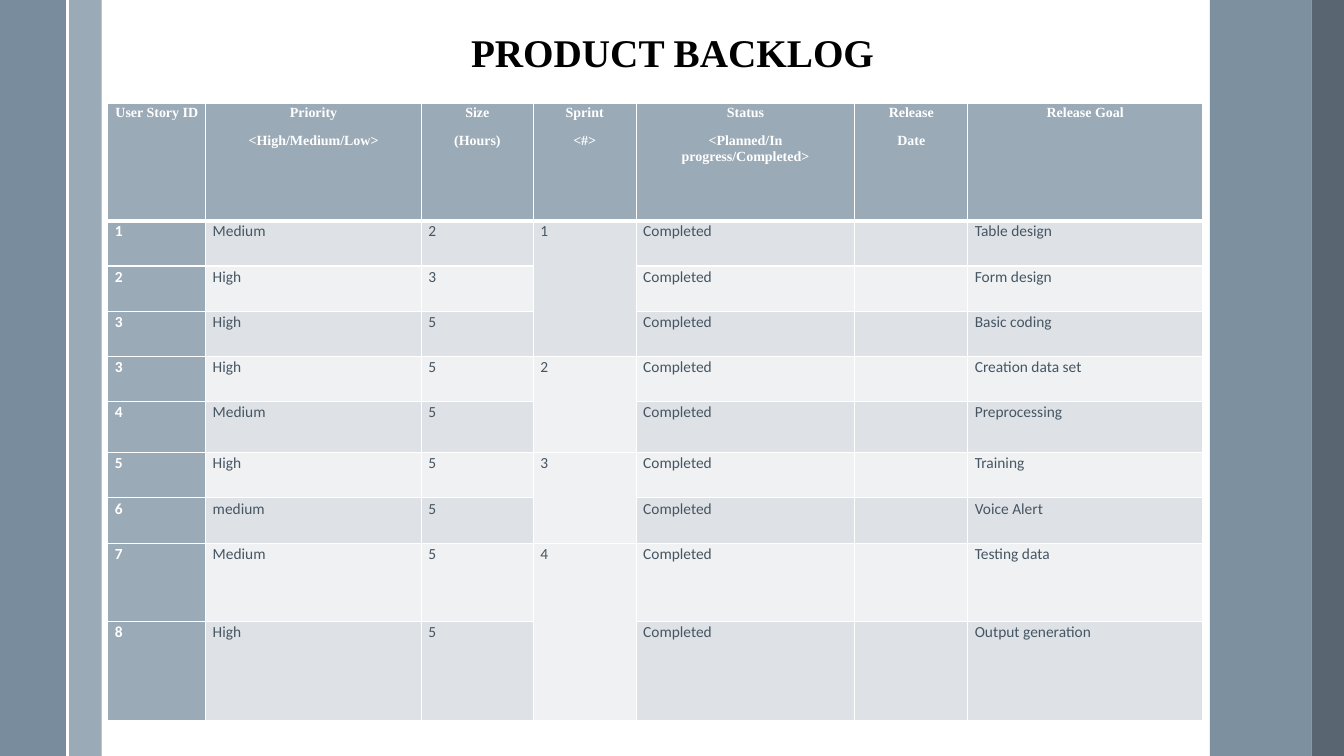
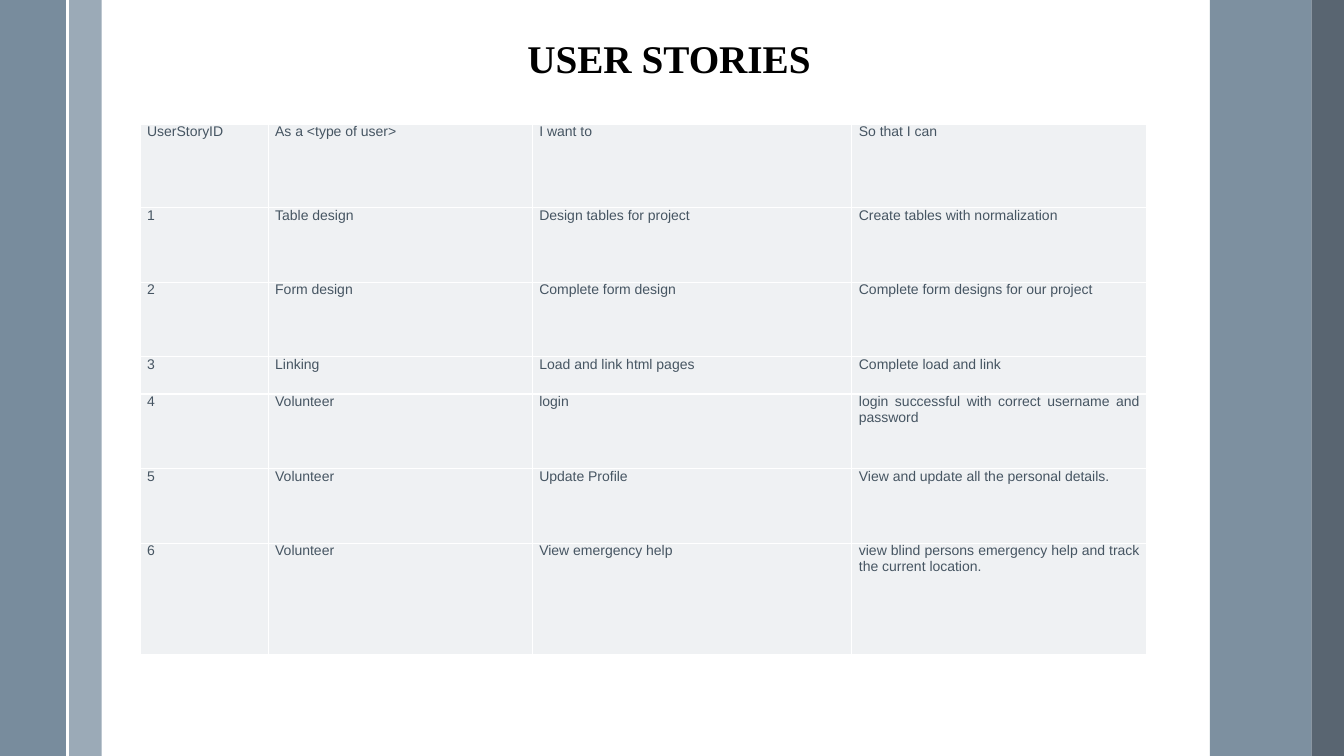
import pptx
import pptx.util
import pptx.dml.color
import pptx.enum.shapes
import pptx.enum.text
import pptx.oxml
import pptx.oxml.ns
from lxml import etree

Inches, Pt = pptx.util.Inches, pptx.util.Pt
ALIGN = pptx.enum.text.PP_ALIGN
SHAPE = pptx.enum.shapes.MSO_SHAPE
qn = pptx.oxml.ns.qn

# Shared look
HEX = {
    "white": "FFFFFF", "black": "000000", "text": "465562", "head": "9BAAB7",
    "steel": "6A8093", "slate": "475562", "dark": "DEE2E6", "light": "EFF1F3",
}
# left, width, colour, opacity in percent
BANDS = [
    (0.68, 0.33, "head", 100), (0, 0.67, "steel", 90),
    (12, 1.01, "steel", 87), (13.01, 0.33, "slate", 90),
]
RULE_X = 0.67
TITLE = {"size": Pt(28), "name": "Times New Roman", "bold": True}
INSETS = {"margin_left": Inches(0.07), "margin_right": Inches(0.07),
          "margin_top": 0, "margin_bottom": 0}
FLAGS = {"first_row": False, "horz_banding": False}

# Text formats: font, paragraph, colour
SPACED = {"line_spacing": 1.07, "space_after": Pt(8)}
HEAD = ({"size": Pt(10), "name": "Times New Roman", "bold": True},
        {"alignment": ALIGN.CENTER, **SPACED}, "white")
KEY = ({"size": Pt(11), "name": "Calibri", "bold": True}, SPACED, "white")
BODY = ({"size": Pt(11), "name": "Calibri", "bold": False}, SPACED, "text")
PLAIN = ({"size": Pt(10), "name": "Arial", "bold": False},
         {"alignment": ALIGN.JUSTIFY}, "text")

# Content: a line break in a cell starts a new paragraph
TASKS = [
    ("User Story ID", "Priority\n<High/Medium/Low>", "Size\n(Hours)", "Sprint\n<#>",
     "Status\n<Planned/In progress/Completed>", "Release\nDate", "Release Goal"),
    ("1", "Medium", "2", "1", "Completed", "", "Table design"),
    ("2", "High", "3", "", "Completed", "", "Form design"),
    ("3", "High", "5", "", "Completed", "", "Basic coding"),
    ("3", "High", "5", "2", "Completed", "", "Creation data set"),
    ("4", "Medium", "5", "", "Completed", "", "Preprocessing"),
    ("5", "High", "5", "3", "Completed", "", "Training"),
    ("6", "medium", "5", "", "Completed", "", "Voice Alert"),
    ("7", "Medium", "5", "4", "Completed", "", "Testing data"),
    ("8", "High", "5", "", "Completed", "", "Output generation"),
]
SPRINT = 3
SPANS = [(1, 3), (4, 5), (6, 7), (8, 9)]
STORIES = [
    ("UserStoryID", "As a <type of user>", "I want to", "So that I can"),
    ("1", "Table design", "Design tables for project", "Create tables with normalization"),
    ("2", "Form design", "Complete form design", "Complete form designs for our project"),
    ("3", "Linking", "Load and link html pages", "Complete load and link"),
    ("4", "Volunteer", "login", "login successful with correct username and password"),
    ("5", "Volunteer", "Update Profile", "View and update all the personal details."),
    ("6", "Volunteer", "View emergency help",
     "view blind persons emergency help and track the current location."),
]


def apply(item, form):
    for name, value in form.items():
        setattr(item, name, value)


def rgb(name):
    return pptx.dml.color.RGBColor.from_string(HEX[name])


def paint(item, name):
    item.fill.solid()
    item.fill.fore_color.rgb = rgb(name)


# Side bands, moved from a slide to the master
def add_bands(deck, slide):
    parts = []
    for left, width, name, alpha in BANDS:
        band = slide.shapes.add_shape(
            SHAPE.RECTANGLE, Inches(left), 0, Inches(width), deck.slide_height)
        band.shadow.inherit = False
        band.line.fill.background()
        paint(band, name)
        if alpha < 100:
            tint = band.element.spPr.find(".//" + qn("a:srgbClr"))
            etree.SubElement(tint, qn("a:alpha"), val=str(alpha * 1000))
        parts.append(band.element)
    rule = slide.shapes.add_connector(
        pptx.enum.shapes.MSO_CONNECTOR.STRAIGHT,
        Inches(RULE_X), 0, Inches(RULE_X), deck.slide_height)
    rule.line.color.rgb = rgb("white")
    rule.line.width = Pt(1.5)
    etree.SubElement(rule.element.spPr, qn("a:effectLst"))
    parts.append(rule.element)
    tree = deck.slide_master.shapes.element
    for num, part in enumerate(parts):
        part.find(".//" + qn("p:cNvPr")).set("id", str(50 + num))
        tree.insert(2 + num, part)


def add_title(slide, text, box, align):
    title = slide.shapes.title
    apply(title, dict(zip(("left", "top", "width", "height"), map(Inches, box))))
    frame = title.text_frame
    frame.text = text
    apply(frame, {"word_wrap": True, "auto_size": pptx.enum.text.MSO_AUTO_SIZE.NONE,
                  "vertical_anchor": pptx.enum.text.MSO_ANCHOR.MIDDLE})
    par = frame.paragraphs[0]
    par.alignment = align
    apply(par.font, TITLE)
    par.font.color.rgb = rgb("black")


def add_edges(cell, sizes):
    props = cell._tc.get_or_add_tcPr()
    for num, (side, size) in enumerate(zip("LRTB", sizes)):
        edge = etree.Element(qn("a:ln" + side), w=str(Pt(size)))
        fill = etree.SubElement(edge, qn("a:solidFill"))
        etree.SubElement(fill, qn("a:srgbClr"), val=HEX["white"])
        props.insert(num, edge)


# look(row, col) gives text format, fill and edge widths
def add_grid(slide, data, spot, cols, rows, look):
    frame = slide.shapes.add_table(
        len(rows), len(cols), *map(Inches, (*spot, sum(cols), sum(rows))))
    grid = frame.table
    apply(grid, FLAGS)
    for col, width in zip(grid.columns, cols):
        col.width = Inches(width)
    for row, height in zip(grid.rows, rows):
        row.height = Inches(height)
    for r, line in enumerate(data):
        for c, text in enumerate(line):
            (font, para, ink), fill, edges = look(r, c)
            cell = grid.cell(r, c)
            apply(cell, INSETS)
            cell.text = text
            paint(cell, fill)
            add_edges(cell, edges)
            for par in cell.text_frame.paragraphs:
                apply(par, para)
                apply(par.font, font)
                par.font.color.rgb = rgb(ink)
    return grid


def task_look(r, c):
    edges = (1, 1, 3 if r == 1 else 1, 3 if r == 0 else 1)
    if r == 0:
        return HEAD, "head", edges
    if c == 0:
        return KEY, "head", edges
    return BODY, "dark" if r % 2 else "light", edges


def story_look(r, c):
    return PLAIN, "light", (1, 1, 1, 1)


def main():
    deck = pptx.Presentation()
    apply(deck, {"slide_width": Inches(13.33), "slide_height": Inches(7.5)})
    plan = deck.slide_layouts[5]

    # Product backlog
    slide = deck.slides.add_slide(plan)
    add_bands(deck, slide)
    add_title(slide, "PRODUCT BACKLOG", (3.81, 0.23, 5.72, 0.57), ALIGN.CENTER)
    grid = add_grid(
        slide, TASKS, (1.07, 1.03), [0.97, 2.14, 1.11, 1.02, 2.17, 1.12, 2.33],
        [1.16, 0.45, 0.45, 0.45, 0.44, 0.51, 0.45, 0.45, 0.78, 0.98], task_look)
    for first, last in SPANS:
        grid.cell(first, SPRINT).merge(grid.cell(last, SPRINT))

    # User stories
    slide = deck.slides.add_slide(plan)
    add_title(slide, "USER STORIES", (5.13, 0.29, 3.07, 0.57), ALIGN.LEFT)
    add_grid(slide, STORIES, (1.39, 1.23), [1.27, 2.62, 3.17, 2.92],
             [0.83, 0.74, 0.74, 0.37, 0.74, 0.74, 1.11], story_look)

    deck.save("out.pptx")


if __name__ == "__main__":
    main()
